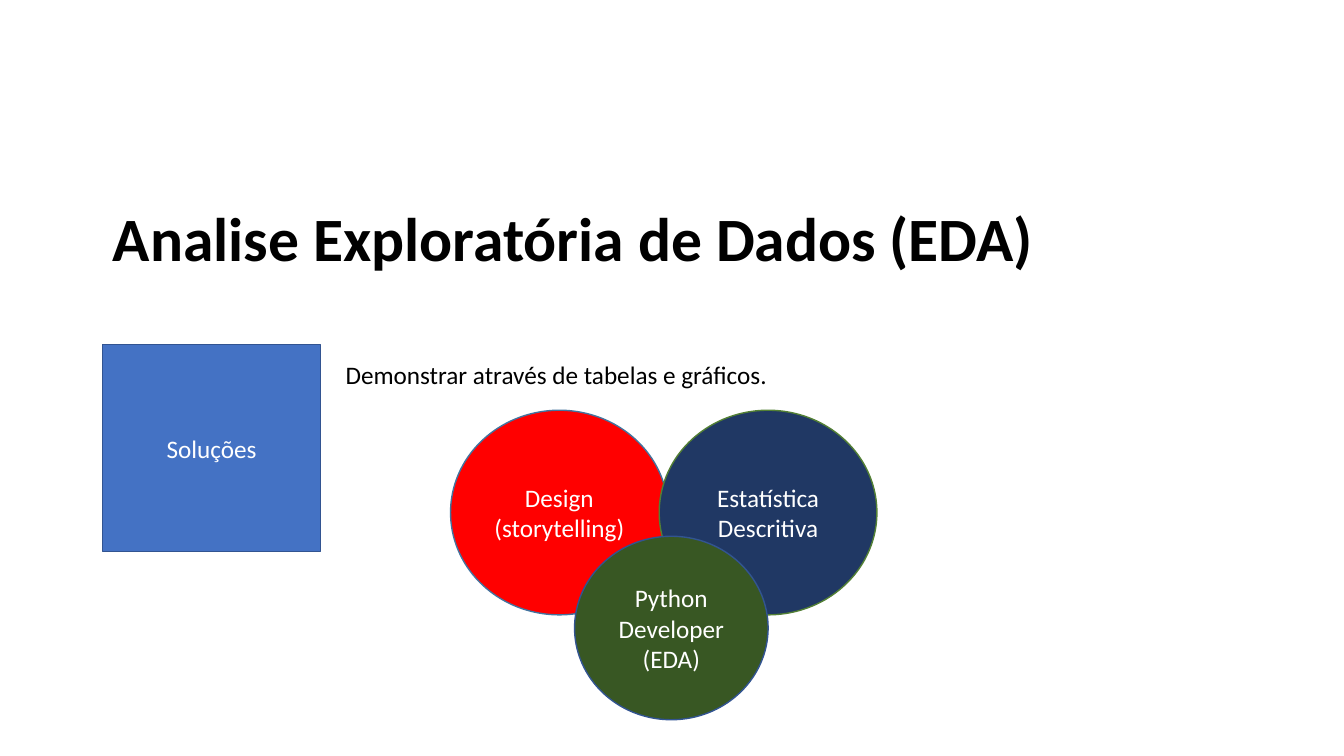
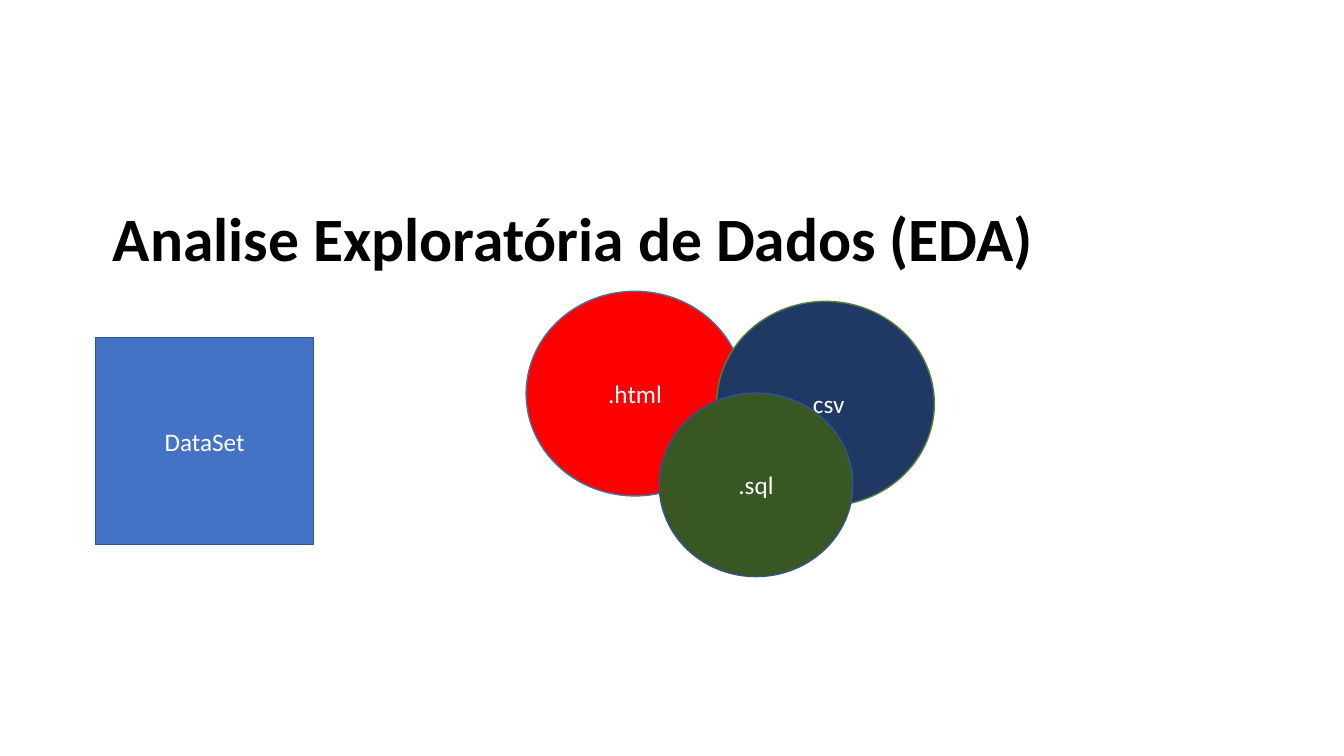
import dataclasses

import pptx
import pptx.dml.color
import pptx.enum.shapes
import pptx.enum.text
import pptx.util

COLUMNS, ROWS = 160, 90
CELL = pptx.util.Inches(7.5) / ROWS
TITLE = "Analise Exploratória de Dados (EDA)"
TITLE_AREA = (12.24, 20.04, 138, 17.4)
RECTANGLE = pptx.enum.shapes.MSO_SHAPE.RECTANGLE
OVAL = pptx.enum.shapes.MSO_SHAPE.OVAL
ALIGN = pptx.enum.text.PP_ALIGN
MIDDLE = pptx.enum.text.MSO_ANCHOR.MIDDLE
AUTO_SIZE = pptx.enum.text.MSO_AUTO_SIZE


@dataclasses.dataclass(frozen=True)
class Theme:
    font: str = "Calibri"
    title_size: int = 44
    body_size: int = 18
    line_width: int = 1
    dark_text: str = "000000"
    light_text: str = "FFFFFF"
    blue: str = "4472C4"
    red: str = "FF0000"
    navy: str = "203864"
    green: str = "385723"
    blue_line: str = "325491"
    teal_line: str = "43739E"
    green_line: str = "538035"


THEME = Theme()


@dataclasses.dataclass(frozen=True)
class ShapeStyle:
    preset: int
    width: float
    height: float
    fill: str
    line: str


TOPIC = ShapeStyle(RECTANGLE, 25.92, 24.6, THEME.blue, THEME.blue_line)
CIRCLES = (
    ShapeStyle(OVAL, 25.92, 24.36, THEME.red, THEME.teal_line),
    ShapeStyle(OVAL, 25.92, 24.36, THEME.navy, THEME.green_line),
    ShapeStyle(OVAL, 23.04, 21.84, THEME.green, THEME.blue_line),
)


def cells(*counts):
    return [round(count * CELL) for count in counts]


def color(value):
    return pptx.dml.color.RGBColor.from_string(value)


def write(shape, text, size, text_color, alignment, bold=False):
    shape.text_frame.text = text
    paragraph = shape.text_frame.paragraphs[0]
    paragraph.alignment = alignment
    paragraph.font.name = THEME.font
    paragraph.font.size = pptx.util.Pt(size)
    paragraph.font.bold = bold
    paragraph.font.color.rgb = color(text_color)
    return paragraph


def add_titled_slide(presentation):
    slide = presentation.slides.add_slide(presentation.slide_layouts[5])
    title = slide.shapes.title
    title.left, title.top, title.width, title.height = cells(*TITLE_AREA)
    paragraph = write(title, TITLE, THEME.title_size, THEME.dark_text, ALIGN.LEFT, bold=True)
    paragraph.line_spacing = 0.9
    title.text_frame.vertical_anchor = MIDDLE
    title.text_frame.auto_size = AUTO_SIZE.NONE
    return slide


def add_labelled_shape(slide, style, text, left, top):
    area = cells(left, top, style.width, style.height)
    shape = slide.shapes.add_shape(style.preset, *area)
    shape.shadow.inherit = False
    shape.fill.solid()
    shape.fill.fore_color.rgb = color(style.fill)
    shape.line.color.rgb = color(style.line)
    shape.line.width = pptx.util.Pt(THEME.line_width)
    shape.text_frame.word_wrap = True
    shape.text_frame.vertical_anchor = MIDDLE
    write(shape, text, THEME.body_size, THEME.light_text, ALIGN.CENTER)


def add_circles(slide, labels):
    for style, (text, left, top) in zip(CIRCLES, labels):
        add_labelled_shape(slide, style, text, left, top)


def add_note(slide, text, area):
    note = slide.shapes.add_textbox(*cells(*area))
    note.text_frame.word_wrap = False
    note.text_frame.auto_size = AUTO_SIZE.SHAPE_TO_FIT_TEXT
    write(note, text, THEME.body_size, THEME.dark_text, ALIGN.LEFT)


def build_solutions(presentation):
    slide = add_titled_slide(presentation)
    add_labelled_shape(slide, TOPIC, "Soluções", 12.24, 41.04)
    add_note(slide, "Demonstrar através de tabelas e gráficos.", (39.96, 42.24, 53.16, 4.8))
    add_circles(slide, (
        ("Design (storytelling)", 53.64, 48.84),
        ("Estatística Descritiva", 78.48, 48.84),
        ("Python Developer (EDA)", 68.4, 63.84),
    ))


def build_dataset(presentation):
    slide = add_titled_slide(presentation)
    add_labelled_shape(slide, TOPIC, "DataSet", 11.4, 40.2)
    add_circles(slide, (
        (".html", 62.64, 34.68),
        (".csv", 85.32, 35.88),
        (".sql", 78.48, 46.8),
    ))


def main():
    presentation = pptx.Presentation()
    presentation.slide_width, presentation.slide_height = cells(COLUMNS, ROWS)
    build_solutions(presentation)
    build_dataset(presentation)
    presentation.save("out.pptx")


if __name__ == "__main__":
    main()
